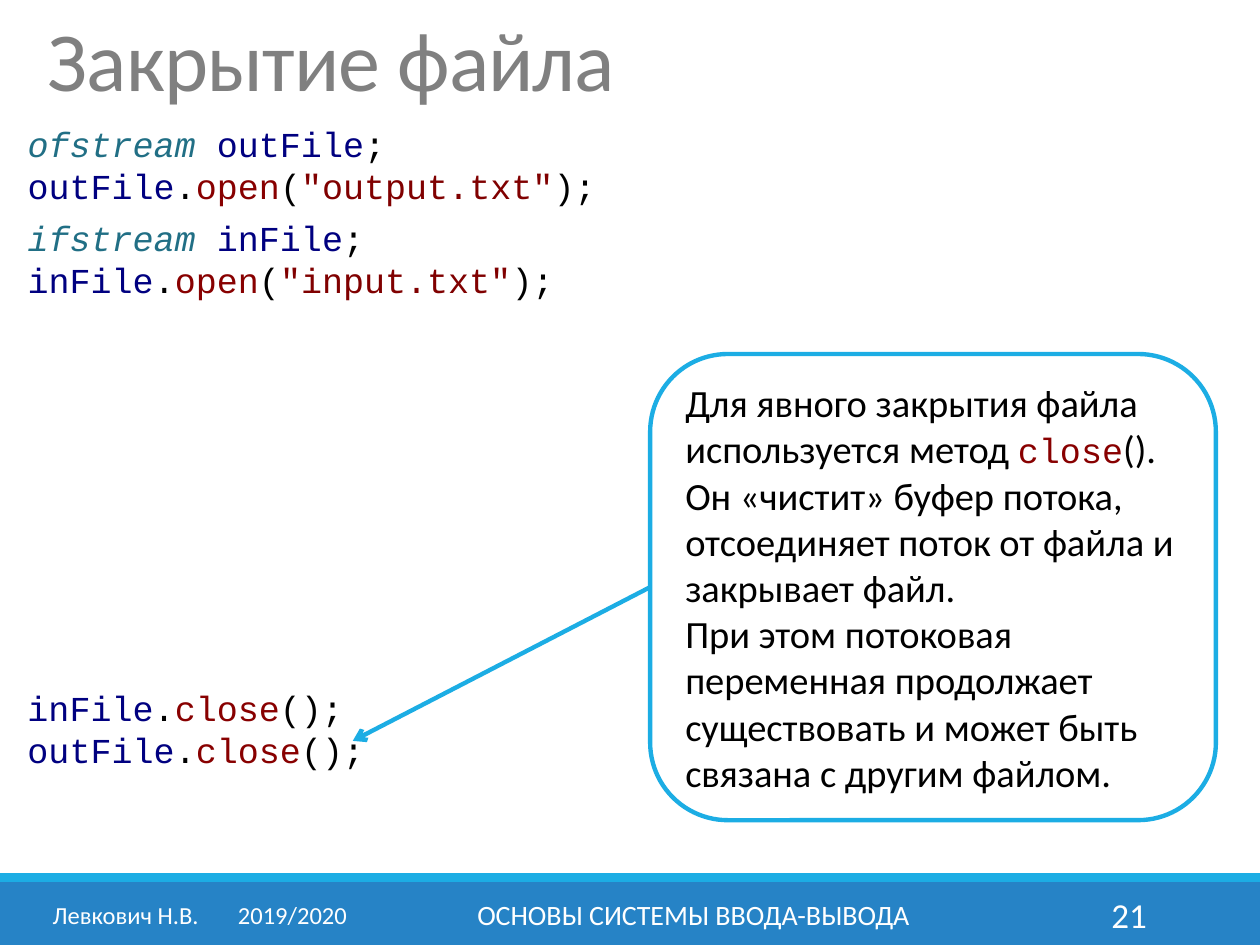
import pptx
import pptx.dml.color
import pptx.enum.shapes
import pptx.enum.text
import pptx.oxml
import pptx.oxml.ns
import pptx.util
from pptx.util import Inches

RGBColor = pptx.dml.color.RGBColor
PP_ALIGN = pptx.enum.text.PP_ALIGN
MSO_ANCHOR = pptx.enum.text.MSO_ANCHOR
MSO_SHAPE = pptx.enum.shapes.MSO_SHAPE

WHITE = RGBColor(0xFF, 0xFF, 0xFF)
BLACK = RGBColor(0, 0, 0)
TITLE_GRAY = RGBColor(0x80, 0x80, 0x80)
FOOTER_BLUE = RGBColor(0x26, 0x83, 0xC6)
ACCENT_BLUE = RGBColor(0x1C, 0xAD, 0xE4)
TYPE_TEAL = RGBColor(0x21, 0x6F, 0x85)
VARIABLE_NAVY = RGBColor(0, 0, 0x80)
METHOD_RED = RGBColor(0x88, 0, 0)
STRING_RED = RGBColor(0x80, 0, 0)

TEXT_FONT = "Calibri"
CODE_FONT = "Courier New"
CODE_SIZE = 20
LINE_WIDTH = pptx.util.Pt(2.5)


def add_run(paragraph, text, size, color, font_name=TEXT_FONT, italic=None):
    run = paragraph.add_run()
    run.text = text
    run.font.size = pptx.util.Pt(size)
    run.font.name = font_name
    run.font.color.rgb = color
    run.font.italic = italic
    return run


def add_code_run(paragraph, text, color):
    """Add a code token; type names are set in italics."""
    add_run(paragraph, text, CODE_SIZE, color, CODE_FONT, color == TYPE_TEAL)


def add_text_box(slide, left, top, width, height):
    text_box = slide.shapes.add_textbox(
        Inches(left), Inches(top), Inches(width), Inches(height))
    text_box.text_frame.word_wrap = True
    return text_box.text_frame


def add_shape(slide, preset, left, top, width, height, fill):
    shape = slide.shapes.add_shape(
        preset, Inches(left), Inches(top), Inches(width), Inches(height))
    shape.shadow.inherit = False
    shape.fill.solid()
    shape.fill.fore_color.rgb = fill
    shape.line.fill.background()
    return shape


def set_title(slide, text):
    title = slide.shapes.title
    title.left, title.top = Inches(0.28), Inches(0.13)
    title.width, title.height = Inches(4.84), Inches(0.87)
    title.text_frame.vertical_anchor = MSO_ANCHOR.TOP
    paragraph = title.text_frame.paragraphs[0]
    paragraph.alignment = PP_ALIGN.LEFT
    paragraph.line_spacing = 0.85
    run = add_run(paragraph, text, 48, TITLE_GRAY)
    run.font._element.set("spc", "-50")


def add_code(slide, top, width, height, lines, alignment, spaced_lines=()):
    """Add lines of (text, colour) tokens; spaced_lines get a gap above."""
    text_frame = add_text_box(slide, 0.12, top, width, height)
    for index, tokens in enumerate(lines):
        paragraph = text_frame.add_paragraph() if index else text_frame.paragraphs[0]
        paragraph.alignment = alignment
        if index in spaced_lines:
            paragraph.space_before = pptx.util.Pt(6)
        for text, color in tokens:
            add_code_run(paragraph, text, color)


def declaration(type_name, variable):
    return [(type_name, TYPE_TEAL), (" ", BLACK),
            (variable, VARIABLE_NAVY), (";", BLACK)]


def method_call(variable, method, argument=""):
    tokens = [(variable, VARIABLE_NAVY), (".", BLACK), (method, METHOD_RED)]
    if argument:
        return tokens + [("(", BLACK), (argument, STRING_RED), (");", BLACK)]
    return tokens + [("();", BLACK)]


def add_callout(slide):
    callout = add_shape(slide, MSO_SHAPE.ROUNDED_RECTANGLE,
                        5.16, 2.81, 4.49, 3.7, WHITE)
    callout.line.color.rgb = ACCENT_BLUE
    callout.line.width = LINE_WIDTH
    callout.text_frame.word_wrap = True
    callout.text_frame.vertical_anchor = MSO_ANCHOR.MIDDLE
    paragraph = callout.text_frame.paragraphs[0]
    paragraph.alignment = PP_ALIGN.LEFT
    add_run(paragraph, "Для явного закрытия файла используется метод ", 22, BLACK)
    add_code_run(paragraph, "close", METHOD_RED)
    add_run(paragraph, "(). Он «чистит» буфер потока, отсоединяет поток "
            "от файла и закрывает файл.", 22, BLACK)
    paragraph.add_line_break()
    add_run(paragraph, "При этом потоковая переменная продолжает существовать "
            "и может быть связана с другим файлом.", 22, BLACK)


def add_arrow(slide, start, end):
    arrow = slide.shapes.add_connector(
        pptx.enum.shapes.MSO_CONNECTOR.STRAIGHT,
        *(Inches(value) for value in start + end))
    arrow.line.color.rgb = ACCENT_BLUE
    arrow.line.width = LINE_WIDTH
    line = arrow.line._get_or_add_ln()
    pptx.oxml.ns.qn("a:tailEnd")
    line.append(pptx.oxml.parse_xml(
        '<a:tailEnd xmlns:a="http://schemas.openxmlformats.org/drawingml/2006/main"'
        ' type="arrow"/>'))
    arrow._element.spPr.append(pptx.oxml.parse_xml(
        '<a:effectLst xmlns:a="http://schemas.openxmlformats.org/drawingml/2006/main"/>'))


def add_footer_text(slide, left, width, text, size, alignment, tab_stop=None):
    text_frame = add_text_box(slide, left, 7.06, width, 0.4)
    text_frame.vertical_anchor = MSO_ANCHOR.MIDDLE
    paragraph = text_frame.paragraphs[0]
    paragraph.alignment = alignment
    if tab_stop:
        paragraph._p.get_or_add_pPr().append(pptx.oxml.parse_xml(
            '<a:tabLst xmlns:a="http://schemas.openxmlformats.org/drawingml/2006/main">'
            f'<a:tab pos="{Inches(tab_stop)}" algn="l"/></a:tabLst>'))
    add_run(paragraph, text, size, WHITE)


def main():
    presentation = pptx.Presentation()
    presentation.slide_width = Inches(10)
    presentation.slide_height = Inches(7.5)
    slide = presentation.slides.add_slide(presentation.slide_layouts[5])

    add_shape(slide, MSO_SHAPE.RECTANGLE, 0, 7, 10, 0.5, FOOTER_BLUE)
    add_shape(slide, MSO_SHAPE.RECTANGLE, 0, 6.93, 10, 0.07, ACCENT_BLUE)
    set_title(slide, "Закрытие файла")

    add_code(slide, 0.92, 9.61, 1.53, [
        declaration("ofstream", "outFile"),
        method_call("outFile", "open", '"output.txt"'),
        declaration("ifstream", "inFile"),
        method_call("inFile", "open", '"input.txt"'),
    ], PP_ALIGN.LEFT, spaced_lines=(2,))
    add_code(slide, 5.4, 9.37, 0.77, [
        method_call("inFile", "close"),
        method_call("outFile", "close"),
    ], PP_ALIGN.JUSTIFY)

    add_callout(slide)
    add_arrow(slide, (5.16, 4.66), (2.8, 5.88))

    add_footer_text(slide, 0.32, 2.61, "Левкович Н.В.\t2019/2020", 14,
                    PP_ALIGN.LEFT, tab_stop=1.47)
    add_footer_text(slide, 3.02, 4.97, "ОСНОВЫ СИСТЕМЫ ВВОДА-ВЫВОДА", 16,
                    PP_ALIGN.CENTER)
    add_footer_text(slide, 8.12, 1.08, "21", 20, PP_ALIGN.RIGHT)

    presentation.save("out.pptx")


if __name__ == "__main__":
    main()
